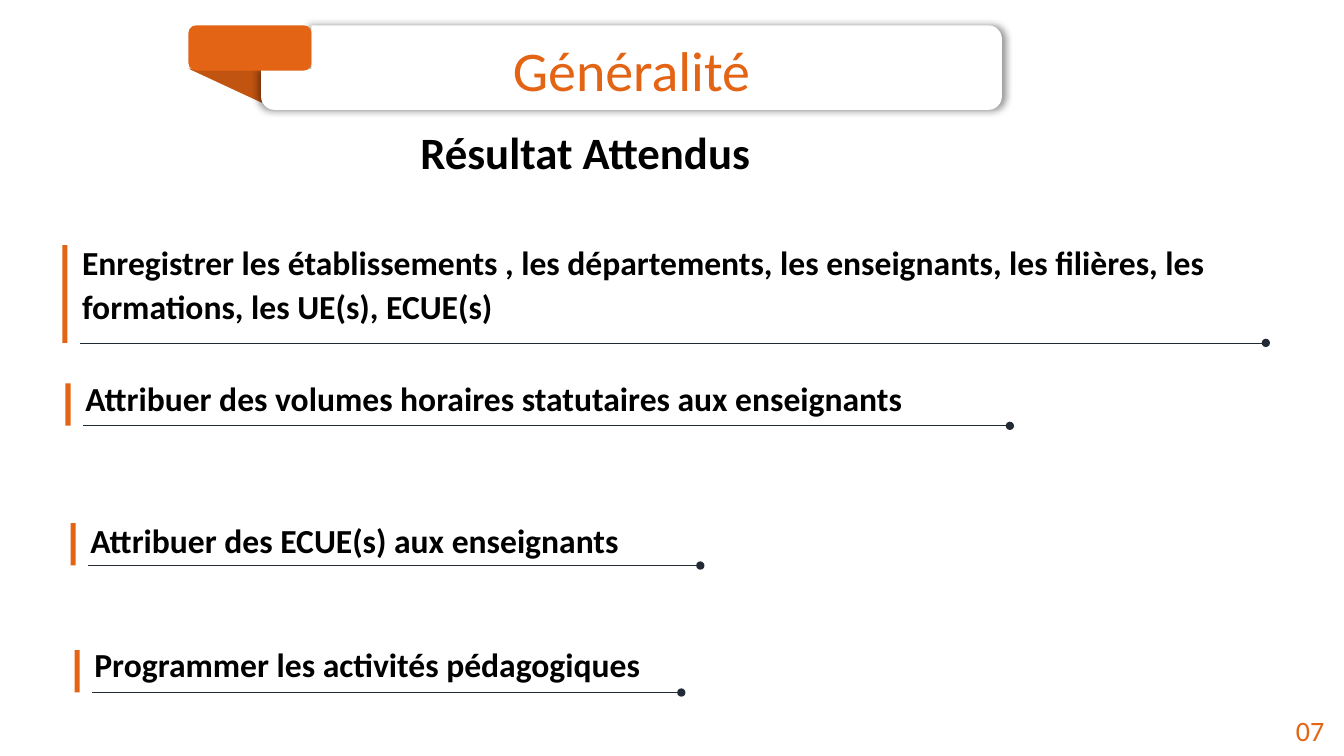
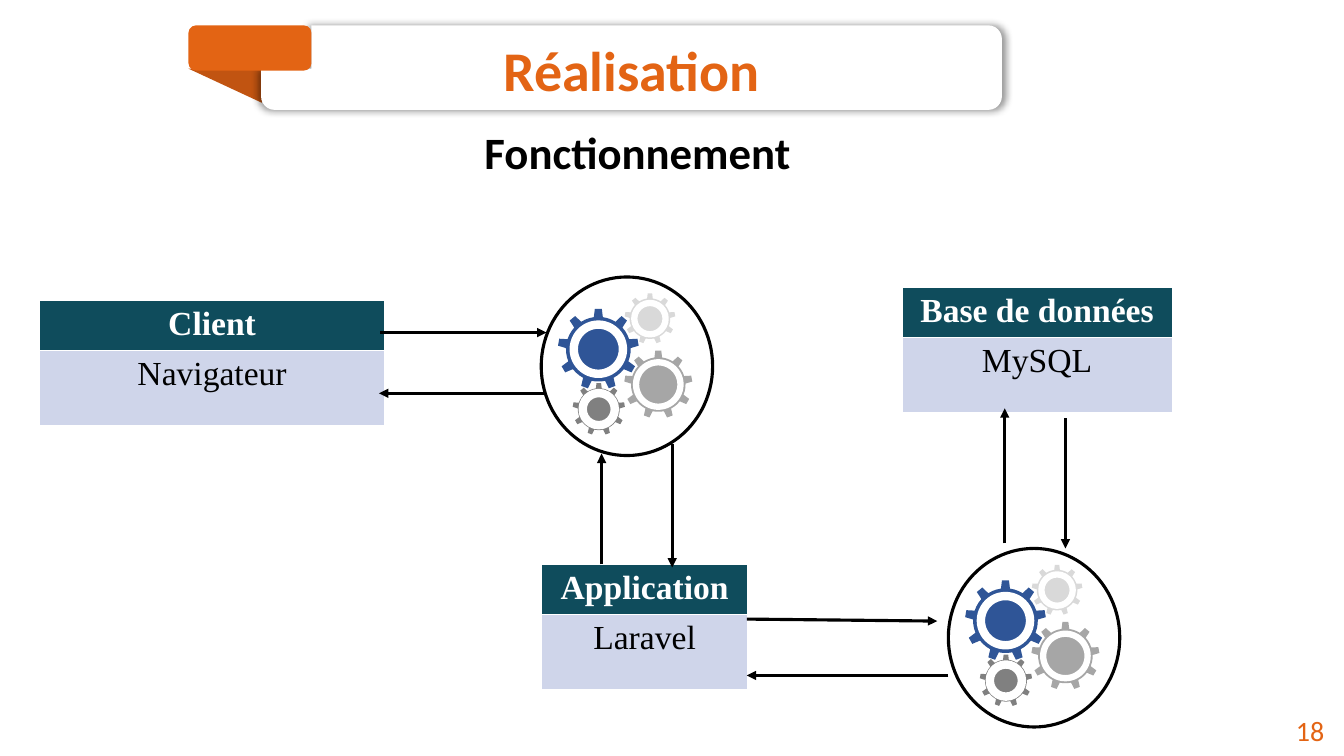
from math import cos, radians, sin

from lxml.etree import SubElement
from pptx import Presentation
from pptx.dml.color import RGBColor
from pptx.enum.shapes import MSO_CONNECTOR as Link, MSO_SHAPE as Form
from pptx.enum.text import PP_ALIGN as Align
from pptx.oxml.ns import qn
from pptx.util import Cm, Pt

ORANGE, RUST, SLATE, TEAL = "E36414", "C15411", "222A35", "0F4C5C"
WHITE, BLACK, PALE = "FFFFFF", "000000", "CFD5EA"
SANS, SERIF = "Calibri", "Times New Roman"

TITLE = {"size": Pt(40), "name": SANS, "bold": False}
HEAD = {"size": Pt(32), "name": SANS, "bold": True}
ITEM = {"size": Pt(24), "name": SANS, "bold": True}
FOOT = {"size": Pt(20), "name": SANS, "bold": False}
CELL = {"size": Pt(24), "name": SERIF, "bold": False}


def ink(part, code):
    part.fill.solid()
    part.fill.fore_color.rgb = RGBColor.from_string(code)


def write(frame, text, style, code, align=Align.LEFT):
    frame.word_wrap = True
    para = frame.paragraphs[0]
    para.alignment = align
    run = para.add_run()
    run.text = text
    for key, value in style.items():
        setattr(run.font, key, value)
    ink(run.font, code)
    return para


deck = Presentation()
deck.slide_width, deck.slide_height = Cm(33.87), Cm(19.05)

band = [(7.85, 0.64)]
for x, y, start in ((24.91, 0.98, -90), (24.91, 2.43, 0), (6.92, 2.43, 90)):
    for step in range(0, 91, 15):
        turn = radians(start + step)
        band.append((x + 0.34 * cos(turn), y + 0.34 * sin(turn)))
band += [(6.58, 1.73), (7.85, 1.73)]

pages = []
for title, bold, head, left, width, number in (
    ("Généralité", False, "Résultat Attendus", 7.97, 13.56, "07"),
    ("Réalisation", True, "Fonctionnement", 8.13, 15.88, "18"),
):
    page = deck.slides.add_slide(deck.slide_layouts[6])
    pages.append(page.shapes)
    fold = page.shapes.add_shape(Form.RIGHT_TRIANGLE, Cm(4.75), Cm(1.73), Cm(1.85), Cm(0.86))
    fold.rotation = 180
    pen = page.shapes.build_freeform(Cm(band[0][0]), Cm(band[0][1]))
    pen.add_line_segments([(Cm(x), Cm(y)) for x, y in band[1:]])
    plate = pen.convert_to_shape()
    tab = page.shapes.add_shape(Form.ROUNDED_RECTANGLE, Cm(4.75), Cm(0.64), Cm(3.1), Cm(1.14))
    for shape, code in ((fold, RUST), (plate, WHITE), (tab, ORANGE)):
        ink(shape, code)
        shape.line.fill.background()
        shape.shadow.inherit = False
    glow = SubElement(
        plate.element.spPr.find(qn("a:effectLst")), qn("a:outerShdw"),
        blurRad=str(Pt(5)), dist="0", dir="0", sx="101000", sy="101000",
        algn="ctr", rotWithShape="0",
    )
    shade = SubElement(glow, qn("a:srgbClr"), val=BLACK)
    SubElement(shade, qn("a:alpha"), val="40000")
    for text, style, code, align, box in (
        (title, TITLE | {"bold": bold}, ORANGE, Align.CENTER, (8.79, 0.76, 14.25, 1.96)),
        (head, HEAD, BLACK, Align.CENTER, (left, 3.02, width, 1.63)),
        (number, FOOT, ORANGE, Align.LEFT, (32.41, 17.86, 1.45, 1.12)),
    ):
        label = page.shapes.add_textbox(*map(Cm, box))
        write(label.text_frame, text, style, code, align)

goals, flow = pages
links = []

for text, left, base, end, tall, width, gap in (
    ("Enregistrer les établissements , les départements, les enseignants, "
     "les filières, les formations, les UE(s), ECUE(s)", 1.57, 8.64, 31.9, 2.46, 31.37, 1.07),
    ("Attribuer des volumes horaires statutaires aux enseignants",
     1.65, 10.73, 25.45, 1.07, 26.9, 1),
    ("Attribuer des ECUE(s) aux enseignants", 1.78, 14.25, 17.65, 1.07, 17.78, 1.07),
    ("Programmer les activités pédagogiques", 1.88, 17.45, 17.17, 1.07, 21.74, 1),
):
    bar = goals.add_shape(Form.RECTANGLE, Cm(left), Cm(base - tall), Cm(0.13), Cm(tall))
    ink(bar, ORANGE)
    bar.line.fill.background()
    bar.shadow.inherit = False
    label = goals.add_textbox(Cm(left + 0.25), Cm(base - tall - 0.27), Cm(width), Cm(tall + 0.2))
    write(label.text_frame, text, ITEM, BLACK).line_spacing = gap
    links.append((goals, SLATE, 0.5, "oval", (left + 0.45, base, end, base)))

for head, body, left, top, width in (
    ("Client", "Navigateur", 0.99, 7.57, 8.71),
    ("Application", "Laravel", 13.64, 14.22, 5.21),
    ("Base de données", "MySQL", 22.73, 7.24, 6.81),
):
    table = flow.add_table(2, 1, Cm(left), Cm(top), Cm(width), Cm(3.12)).table
    for row, text, tall, back, code in (
        (0, head, 1.24, TEAL, WHITE),
        (1, body, 1.88, PALE, BLACK),
    ):
        table.rows[row].height = Cm(tall)
        cell = table.cell(row, 0)
        ink(cell, back)
        write(cell.text_frame, text, CELL | {"bold": row == 0}, code, Align.CENTER)

TOOTH = ((-8, 0.8), (-5, 1), (5, 1), (8, 0.8), (16, 0.8), (24, 0.8))
for midx, midy in ((15.8, 9.23), (26.06, 16.07)):
    for right, down, reach, hub, rim, code in (
        (-0.72, -0.43, 1.02, 1.24, 6, "2F5597"),
        (0.79, 0.46, 0.86, 1.12, 4.5, "A6A6A6"),
        (-0.71, 1.08, 0.66, 0.81, 6, "808080"),
        (0.58, -1.2, 0.64, 0.79, 4.5, "D9D9D9"),
    ):
        x, y = midx + right, midy + down
        dots = []
        for turn in range(-90, 270, 40):
            for shift, part in TOOTH:
                angle = radians(turn + shift)
                dots.append((Cm(x + reach * part * cos(angle)), Cm(y + reach * part * sin(angle))))
        pen = flow.build_freeform(*dots[0])
        pen.add_line_segments(dots[1:])
        gear = pen.convert_to_shape()
        gear.line.fill.background()
        disc = flow.add_shape(Form.OVAL, Cm(x - hub / 2), Cm(y - hub / 2), Cm(hub), Cm(hub))
        ink(disc.line, WHITE)
        disc.line.width = Pt(rim)
        for shape in (gear, disc):
            ink(shape, code)
            shape.shadow.inherit = False
    ring = flow.add_shape(Form.OVAL, Cm(midx - 2.16), Cm(midy - 2.25), Cm(4.32), Cm(4.5))
    ring.fill.background()
    ink(ring.line, BLACK)
    ring.line.width = Pt(2.25)
    ring.shadow.inherit = False

for ends in (
    (9.58, 8.38, 13.77, 8.38),
    (13.74, 9.91, 9.55, 9.91),
    (15.16, 14.22, 15.16, 11.43),
    (16.94, 11.2, 16.94, 14.3),
    (18.82, 15.6, 23.62, 15.65),
    (23.9, 17.02, 18.82, 17.02),
    (26.85, 10.54, 26.85, 13.82),
    (25.32, 13.69, 25.32, 10.29),
):
    links.append((flow, BLACK, 2.25, "triangle", ends))

for page, code, width, tip, ends in links:
    link = page.add_connector(Link.STRAIGHT, *map(Cm, ends))
    ink(link.line, code)
    link.line.width = Pt(width)
    props = link.element.spPr
    SubElement(props.find(qn("a:ln")), qn("a:tailEnd"), type=tip)
    SubElement(props, qn("a:effectLst"))

deck.save("out.pptx")
